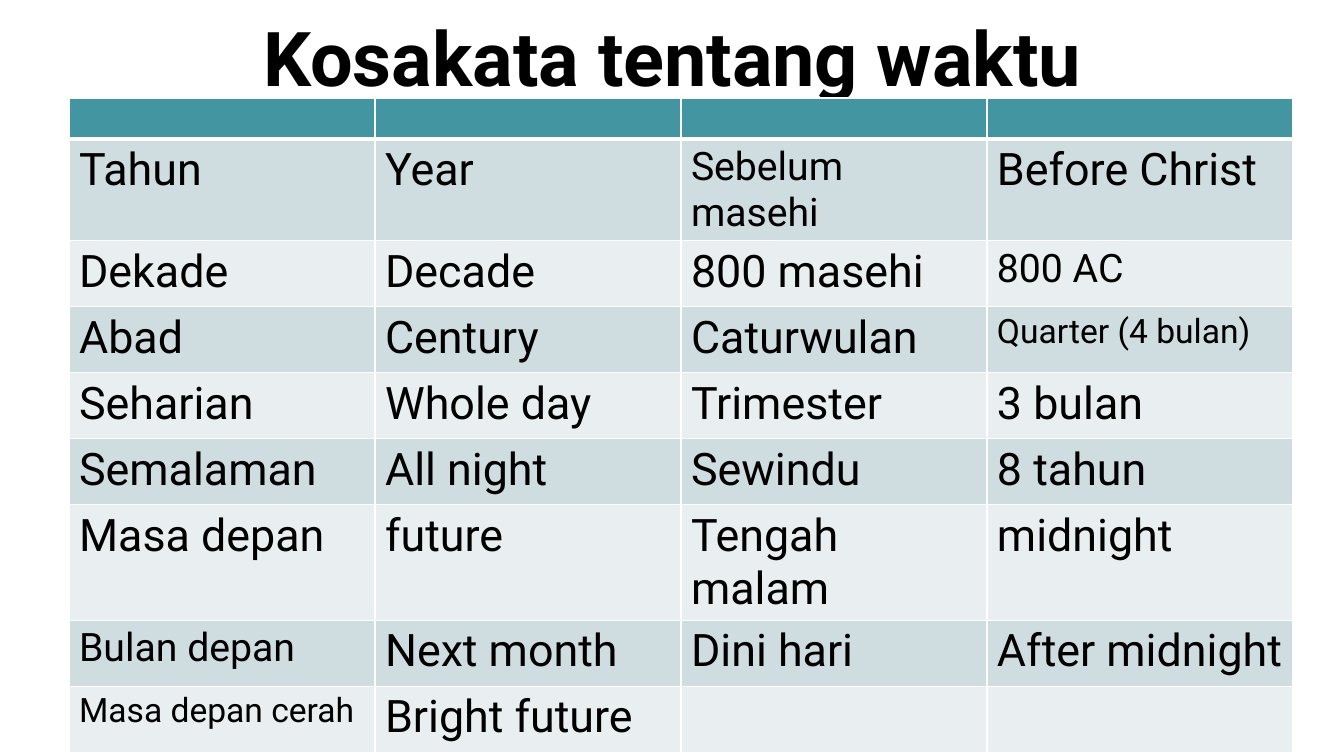
from dataclasses import dataclass

import pptx
import pptx.dml.color
import pptx.enum.text
import pptx.oxml
import pptx.oxml.ns
import pptx.util


@dataclass(frozen=True)
class Theme:
    font: str = "Roboto"
    text: str = "000000"
    header: str = "4495A2"
    bands: tuple = ("CFDDE0", "E9EFF0")
    border: str = "FFFFFF"
    title_size: int = 54
    word_size: int = 32


VOCABULARY = [
    ["", "", "", ""],
    ["Tahun", "Year", "Sebelum masehi", "Before Christ"],
    ["Dekade", "Decade", "800 masehi", "800 AC"],
    ["Abad", "Century", "Caturwulan", "Quarter (4 bulan)"],
    ["Seharian", "Whole day", "Trimester", "3 bulan"],
    ["Semalaman", "All night", "Sewindu", "8 tahun"],
    ["Masa depan", "future", "Tengah malam", "midnight"],
    ["Bulan depan", "Next month", "Dini hari", "After midnight"],
    ["Masa depan cerah", "Bright future", "", ""],
]
SMALLER_WORDS = {
    "Sebelum masehi": 28,
    "800 AC": 28,
    "Bulan depan": 28,
    "Quarter (4 bulan)": 24,
    "Masa depan cerah": 24,
}
ROW_HEIGHTS = [41] + [66] * 5 + [68] + [66] * 2


def px(length):
    return pptx.util.Emu(round(length * 914400 / 100.8))


def rgb(color):
    return pptx.dml.color.RGBColor.from_string(color)


class VocabularySlide:
    def __init__(self, presentation, theme):
        self.theme = theme
        self.slide = presentation.slides.add_slide(presentation.slide_layouts[5])

    def style(self, paragraph, size, bold=False):
        for run in paragraph.runs:
            run.font.name = self.theme.font
            run.font.size = pptx.util.Pt(size)
            run.font.bold = bold
            run.font.color.rgb = rgb(self.theme.text)

    def title(self, words, left, top, width, height):
        heading = self.slide.shapes.title
        heading.left, heading.top = px(left), px(top)
        heading.width, heading.height = px(width), px(height)
        frame = heading.text_frame
        frame.text = words
        frame.word_wrap = True
        frame.auto_size = pptx.enum.text.MSO_AUTO_SIZE.NONE
        frame.vertical_anchor = pptx.enum.text.MSO_ANCHOR.MIDDLE
        line = frame.paragraphs[0]
        line.alignment = pptx.enum.text.PP_ALIGN.CENTER
        line.line_spacing = 0.9
        self.style(line, self.theme.title_size, bold=True)

    def borders(self, cell, widths):
        """Draw the left, right, top and bottom lines, widths in points."""
        properties = cell._tc.get_or_add_tcPr()
        for position, (side, width) in enumerate(zip("LRTB", widths)):
            properties.insert(position, pptx.oxml.parse_xml(
                f'<a:ln{side} {pptx.oxml.ns.nsdecls("a")} w="{pptx.util.Pt(width)}">'
                f'<a:solidFill><a:srgbClr val="{self.theme.border}"/></a:solidFill>'
                f'</a:ln{side}>'))

    def table(self, rows, left, top, column_width, row_heights):
        columns = len(rows[0])
        grid = self.slide.shapes.add_table(
            len(rows), columns, px(left), px(top),
            px(column_width * columns), px(sum(row_heights))).table
        for column in grid.columns:
            column.width = px(column_width)
        for r, words in enumerate(rows):
            grid.rows[r].height = px(row_heights[r])
            fill = self.theme.bands[(r - 1) % 2] if r else self.theme.header
            for c, word in enumerate(words):
                cell = grid.cell(r, c)
                cell.fill.solid()
                cell.fill.fore_color.rgb = rgb(fill)
                self.borders(cell, (1, 1, 3 if r == 1 else 1, 1 if r else 3))
                if word:
                    cell.text_frame.text = word
                    self.style(cell.text_frame.paragraphs[0],
                               SMALLER_WORDS.get(word, self.theme.word_size))


def main():
    presentation = pptx.Presentation()
    presentation.slide_width, presentation.slide_height = px(1344), px(756)
    time_words = VocabularySlide(presentation, Theme())
    time_words.title("Kosakata tentang waktu", 93, 15, 1159, 94)
    time_words.table(VOCABULARY, 69, 98, 306, ROW_HEIGHTS)
    presentation.save("out.pptx")


if __name__ == "__main__":
    main()
